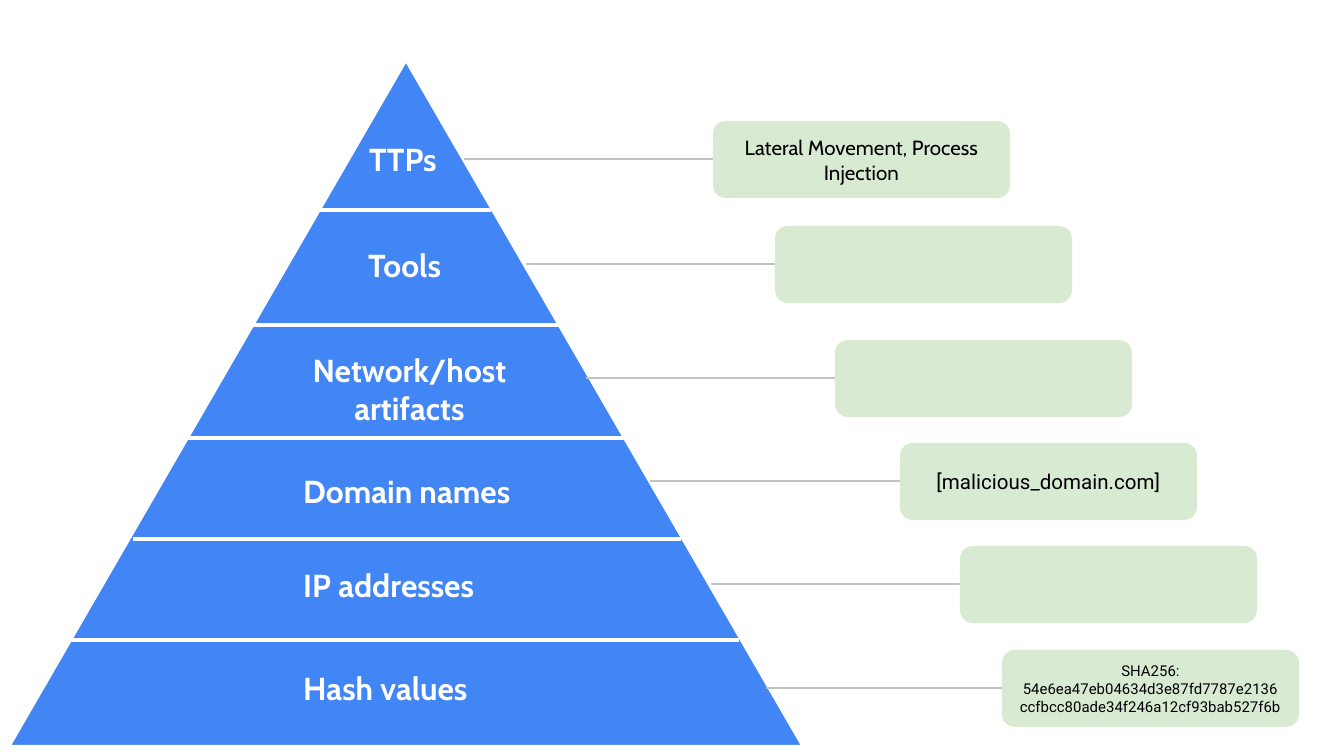
import pptx
import pptx.dml.color
import pptx.enum.shapes
import pptx.enum.text
import pptx.oxml
import pptx.oxml.ns
import pptx.util

EMU_PER_PX = 914400 / 134.4

WHITE = "FFFFFF"
BLACK = "000000"
BLUE = "4285F4"
GREEN = "D9EAD3"
GRAY = "C2C2C2"

SHAPES = pptx.enum.shapes.MSO_SHAPE
CONNECTORS = pptx.enum.shapes.MSO_CONNECTOR
LEFT = pptx.enum.text.PP_ALIGN.LEFT
CENTER = pptx.enum.text.PP_ALIGN.CENTER

CARD_WIDTH, CARD_HEIGHT = 297, 77

# left, right, y of each gap between levels
DIVIDERS = [
    (320, 491, 210),
    (253, 560, 325),
    (187, 624, 438),
    (133, 681, 539),
    (71, 739, 640),
]

# text, left, top, width, height, alignment
LABELS = [
    ("TTPs", 356, 126, 118, 66, LEFT),
    ("Tools", 355, 232, 118, 66, LEFT),
    ("Network/host artifacts", 263, 337, 293, 103, CENTER),
    ("Domain names", 290, 458, 301, 66, LEFT),
    ("IP addresses", 290, 552, 301, 66, LEFT),
    ("Hash values", 290, 655, 301, 66, LEFT),
]

# leader start, card left, card top, text, font, size
EXAMPLES = [
    (464, 713, 121, "Lateral Movement, Process Injection", "Cabin", 11),
    (526, 775, 226, "", "Cabin", 11),
    (586, 835, 340, "", "Cabin", 11),
    (650, 900, 443, "[malicious_domain.com]", "Roboto", 11),
    (711, 960, 546, "", "Roboto", 11),
    (766, 1002, 650,
     "SHA256: 54e6ea47eb04634d3e87fd7787e2136ccfbcc80ade34f246a12cf93bab527f6b",
     "Roboto", 8),
]


def px(*lengths):
    """Turn px lengths into a list of EMU lengths."""
    return [pptx.util.Emu(round(length * EMU_PER_PX)) for length in lengths]


def color(hex_string):
    return pptx.dml.color.RGBColor.from_string(hex_string)


class PyramidSlide:
    def __init__(self, slide):
        self.slide = slide
        self.label_font = "Cabin"
        self.label_size = 17
        self.divider_width = 2.25
        self.leader_width = 0.75

    def set_text(self, text_frame, text, font, size, text_color, alignment, bold=False):
        text_frame.word_wrap = True
        text_frame.margin_left = text_frame.margin_right = pptx.util.Inches(0.1)
        text_frame.margin_top = text_frame.margin_bottom = pptx.util.Inches(0.1)
        text_frame.text = text
        paragraph = text_frame.paragraphs[0]
        paragraph.alignment = alignment
        for run in paragraph.runs:
            run.font.name = font
            run.font.size = pptx.util.Pt(size)
            run.font.bold = bold
            run.font.color.rgb = color(text_color)

    def shape(self, kind, left, top, width, height, fill):
        shape = self.slide.shapes.add_shape(kind, *px(left, top, width, height))
        shape.shadow.inherit = False
        shape.fill.solid()
        shape.fill.fore_color.rgb = color(fill)
        shape.line.fill.background()
        return shape

    def triangle(self, left, top, width, height):
        triangle = self.shape(SHAPES.ISOSCELES_TRIANGLE, left, top, width, height, BLUE)
        triangle.line.color.rgb = color(WHITE)
        triangle.line.width = pptx.util.Pt(self.divider_width)

    def connector(self, kind, start, end, y, line_color, width):
        connector = self.slide.shapes.add_connector(kind, *px(start, y, end, y))
        connector.line.color.rgb = color(line_color)
        connector.line.width = pptx.util.Pt(width)
        properties = connector._element.spPr
        properties.append(pptx.oxml.parse_xml(
            f"<a:effectLst {pptx.oxml.ns.nsdecls('a')}/>"))

    def divider(self, left, right, y):
        self.connector(CONNECTORS.STRAIGHT, left, right, y, WHITE, self.divider_width)

    def label(self, text, left, top, width, height, alignment):
        box = self.slide.shapes.add_textbox(*px(left, top, width, height))
        self.set_text(box.text_frame, text, self.label_font, self.label_size,
                      WHITE, alignment, bold=True)
        box.text_frame.auto_size = pptx.enum.text.MSO_AUTO_SIZE.SHAPE_TO_FIT_TEXT

    def example(self, start, left, top, text, font, size):
        """Draw a card and the leader that joins it to its level."""
        self.connector(CONNECTORS.ELBOW, start, left, top + CARD_HEIGHT // 2,
                       GRAY, self.leader_width)
        card = self.shape(SHAPES.ROUNDED_RECTANGLE, left, top,
                          CARD_WIDTH, CARD_HEIGHT, GREEN)
        if text:
            card.text_frame.vertical_anchor = pptx.enum.text.MSO_ANCHOR.MIDDLE
            self.set_text(card.text_frame, text, font, size, BLACK, CENTER)


def main():
    presentation = pptx.Presentation()
    presentation.slide_width, presentation.slide_height = px(1344, 756)
    pyramid = PyramidSlide(presentation.slides.add_slide(presentation.slide_layouts[6]))

    pyramid.triangle(8, 59, 796, 688)
    for divider in DIVIDERS:
        pyramid.divider(*divider)
    for label in LABELS:
        pyramid.label(*label)
    for example in EXAMPLES:
        pyramid.example(*example)

    presentation.save("out.pptx")


if __name__ == "__main__":
    main()
